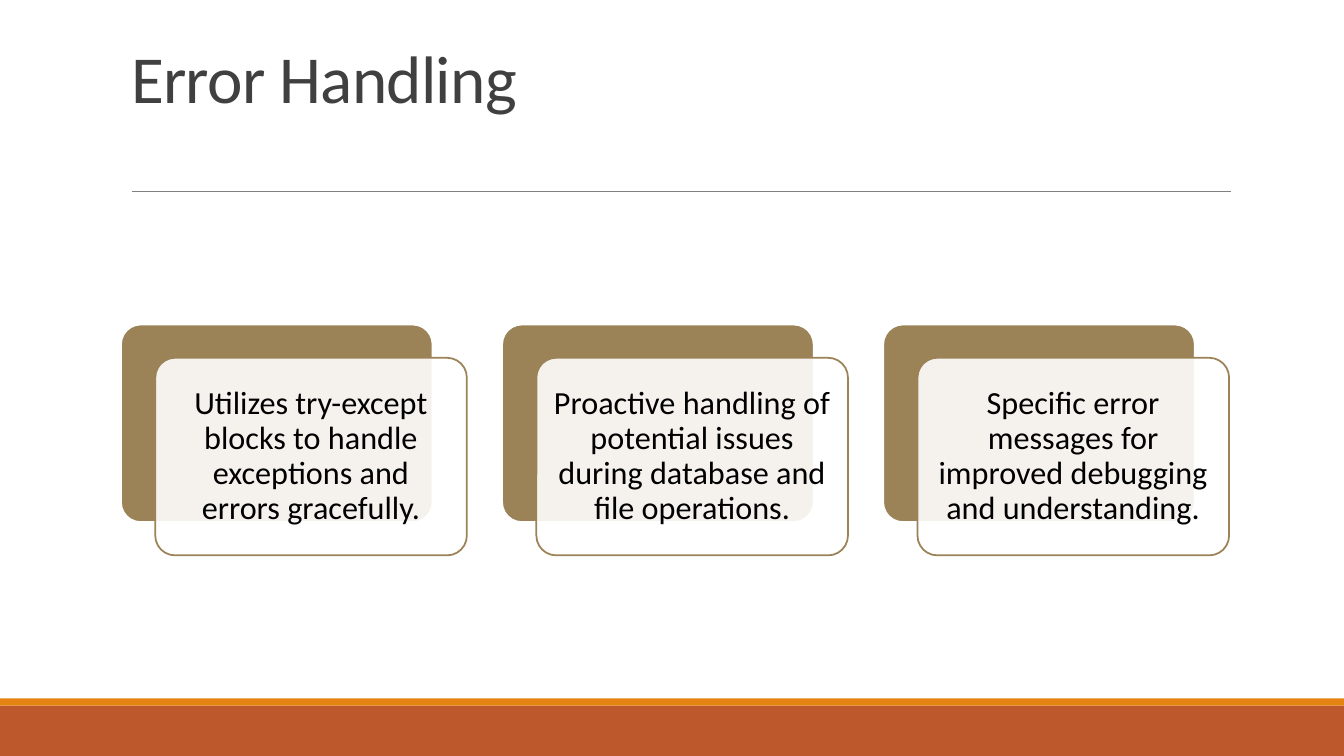
from lxml import etree
from pptx import Presentation
from pptx.dml.color import RGBColor
from pptx.enum import shapes, text
from pptx.oxml.ns import qn
from pptx.util import Inches, Pt

RUST = RGBColor(0xBD, 0x58, 0x2C)
ORANGE = RGBColor(0xE4, 0x83, 0x12)
TAN = RGBColor(0x9B, 0x83, 0x57)
GRAY = RGBColor(0x80, 0x80, 0x80)
DARK = RGBColor(0x40, 0x40, 0x40)
WHITE = RGBColor(0xFF, 0xFF, 0xFF)
BLACK = RGBColor(0, 0, 0)


def add_box(kind, left, top, width, height, fill, outline=None):
    box = slide.shapes.add_shape(
        kind, Inches(left), Inches(top), Inches(width), Inches(height))
    box.shadow.inherit = False
    box.fill.solid()
    box.fill.fore_color.rgb = fill
    if outline is None:
        box.line.fill.background()
    else:
        box.line.color.rgb = outline
        box.line.width = Pt(1.25)
        box.adjustments[0] = 0.1
    return box


def add_text(paragraph, wording, size, color):
    run = paragraph.add_run()
    run.text = wording
    run.font.name = "Calibri"
    run.font.size = Pt(size)
    run.font.color.rgb = color
    return run


prs = Presentation()
prs.slide_width = Inches(13.33)
prs.slide_height = Inches(7.5)
slide = prs.slides.add_slide(prs.slide_layouts[5])

add_box(shapes.MSO_SHAPE.RECTANGLE, 0, 7, 13.33, 0.5, RUST)
add_box(shapes.MSO_SHAPE.RECTANGLE, 0, 6.93, 13.33, 0.07, ORANGE)

rule = slide.shapes.add_connector(
    shapes.MSO_CONNECTOR.STRAIGHT,
    Inches(1.31), Inches(1.9), Inches(12.21), Inches(1.9))
rule.line.color.rgb = GRAY
rule.line.width = Pt(0.5)
etree.SubElement(rule._element.spPr, qn("a:effectLst"))

title = slide.shapes.title
title.left, title.top = Inches(1.2), Inches(0.31)
title.width, title.height = Inches(11), Inches(1.59)
title_frame = title.text_frame
title_frame.auto_size = text.MSO_AUTO_SIZE.NONE
title_frame.vertical_anchor = text.MSO_ANCHOR.BOTTOM
title_frame.margin_bottom = Inches(0.74)
heading = title_frame.paragraphs[0]
heading.alignment = text.PP_ALIGN.LEFT
heading.line_spacing = 0.85
heading_run = add_text(heading, "Error Handling", 48, DARK)
heading_run.font._element.set("spc", "-50")

practices = [
    "Utilizes try-except blocks to handle exceptions and errors gracefully.",
    "Proactive handling of potential issues during database and file operations.",
    "Specific error messages for improved debugging and understanding.",
]
for index, practice in enumerate(practices):
    left = 1.2 + 3.78 * index
    add_box(shapes.MSO_SHAPE.ROUNDED_RECTANGLE, left, 3.22, 3.09, 1.96, TAN, WHITE)
    card = add_box(shapes.MSO_SHAPE.ROUNDED_RECTANGLE,
                   left + 0.34, 3.55, 3.09, 1.96, WHITE, TAN)
    card_color = card._element.spPr.find(qn("a:solidFill"))[0]
    etree.SubElement(card_color, qn("a:alpha")).set("val", "90000")

    frame = card.text_frame
    frame.word_wrap = True
    frame.vertical_anchor = text.MSO_ANCHOR.MIDDLE
    frame.margin_left = frame.margin_right = Inches(0.1)
    frame.margin_top = frame.margin_bottom = Inches(0.1)
    paragraph = frame.paragraphs[0]
    paragraph.alignment = text.PP_ALIGN.CENTER
    paragraph.line_spacing = 0.9
    add_text(paragraph, practice, 23, BLACK)

prs.save("out.pptx")
